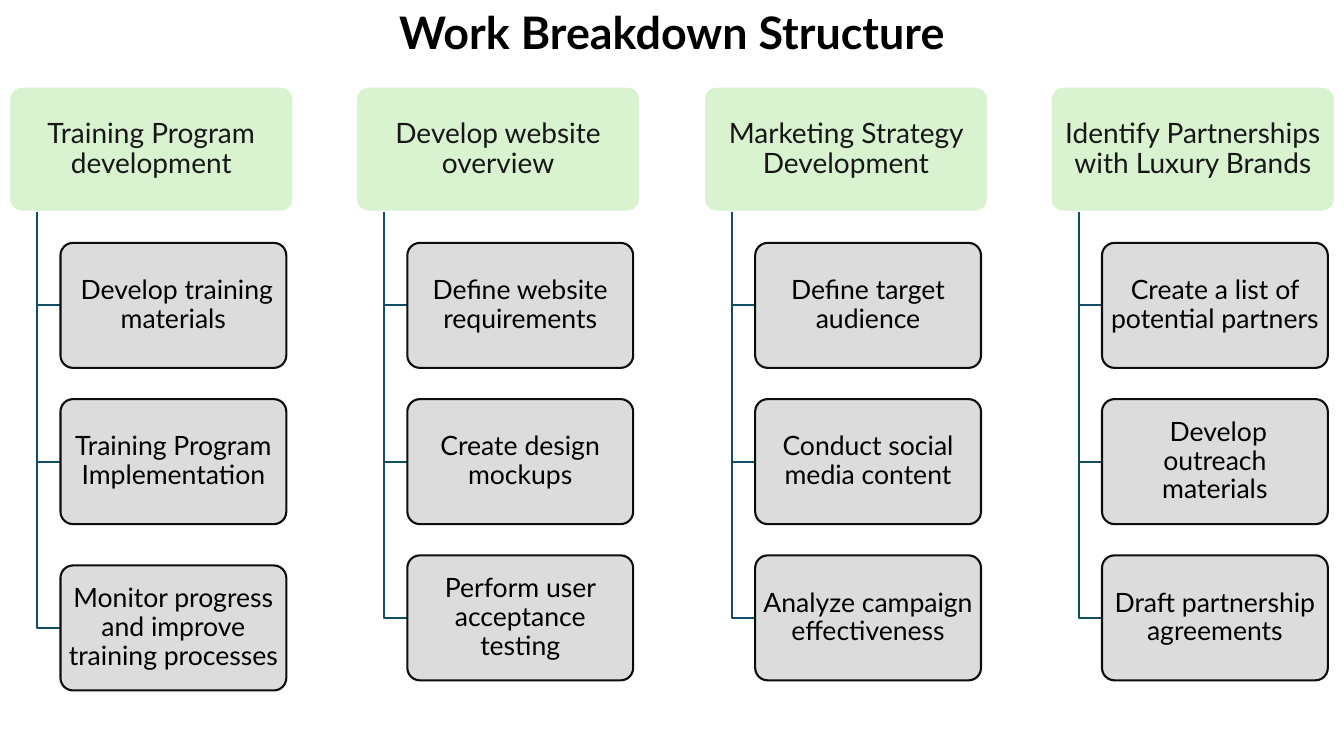
import pptx
import pptx.util
import pptx.dml.color
import pptx.enum.shapes
import pptx.enum.text
import lxml.etree

PX = 9144
HEADER_TOP, HEADER_WIDTH, BOX_HEIGHT = 86, 282, 124
TASK_TOP, TASK_WIDTH, TASK_STEP = 241, 224, 155
TASK_INDENT, TRUNK_INDENT = 51, 28
COLUMN_LEFT, COLUMN_STEP = 9, 344.4

workstreams = [
    ("Training Program development",
     [" Develop training materials", "Training Program Implementation",
      "Monitor progress and improve training processes"]),
    ("Develop website overview",
     ["Define website requirements", "Create design mockups",
      "Perform user acceptance testing"]),
    ("Marketing Strategy Development",
     ["Define target audience", "Conduct social media content",
      "Analyze campaign effectiveness"]),
    ("Identify Partnerships with Luxury Brands",
     ["Create a list of potential partners", " Develop outreach materials",
      "Draft partnership agreements"]),
]


def color(value):
    return pptx.dml.color.RGBColor.from_string(value)


def add_box(left, top, width, text, size, fill, line, font_color):
    shape = slide.shapes.add_shape(
        pptx.enum.shapes.MSO_SHAPE.ROUNDED_RECTANGLE,
        left * PX, top * PX, width * PX, BOX_HEIGHT * PX)
    shape.shadow.inherit = False
    shape.adjustments[0] = 0.1
    shape.fill.solid()
    shape.fill.fore_color.rgb = color(fill)
    shape.line.color.rgb = color(line)
    shape.line.width = pptx.util.Pt(1.5)
    frame = shape.text_frame
    frame.word_wrap = True
    frame.vertical_anchor = pptx.enum.text.MSO_ANCHOR.MIDDLE
    frame.margin_left = frame.margin_right = 4 * PX
    frame.margin_top = frame.margin_bottom = 3 * PX
    frame.text = text
    paragraph = frame.paragraphs[0]
    paragraph.alignment = pptx.enum.text.PP_ALIGN.CENTER
    paragraph.line_spacing = 0.9
    font = paragraph.runs[0].font
    font.name = "Lato"
    font.size = pptx.util.Pt(size)
    font.color.rgb = color(font_color)
    return shape


presentation = pptx.Presentation()
presentation.slide_width = 1333 * PX
presentation.slide_height = 750 * PX
slide = presentation.slides.add_slide(presentation.slide_layouts[5])

title = slide.shapes.title
title.left, title.top, title.width, title.height = 352 * PX, 0, 629 * PX, 64 * PX
title.text_frame.text = "Work Breakdown Structure"
title.text_frame.auto_size = pptx.enum.text.MSO_AUTO_SIZE.NONE
title.text_frame.vertical_anchor = pptx.enum.text.MSO_ANCHOR.TOP
title_paragraph = title.text_frame.paragraphs[0]
title_paragraph.alignment = pptx.enum.text.PP_ALIGN.CENTER
title_font = title_paragraph.runs[0].font
title_font.name = "Lato"
title_font.size = pptx.util.Pt(32)
title_font.bold = True
title_font.color.rgb = color("000000")

for column, (heading, tasks) in enumerate(workstreams):
    left = COLUMN_LEFT + round(column * COLUMN_STEP)
    add_box(left, HEADER_TOP, HEADER_WIDTH, heading, 20, "D9F2D0", "FFFFFF", "171717")
    trunk = left + TRUNK_INDENT
    task_left = left + TASK_INDENT
    for row, task in enumerate(tasks):
        top = TASK_TOP + row * TASK_STEP
        if (column, row) == (0, 2):
            top += 10
        middle = top + BOX_HEIGHT // 2
        builder = slide.shapes.build_freeform(trunk, HEADER_TOP + BOX_HEIGHT, scale=PX)
        builder.add_line_segments([(trunk, middle), (task_left, middle)], close=False)
        branch = builder.convert_to_shape()
        branch.shadow.inherit = False
        branch.fill.background()
        branch.line.color.rgb = color("114D68")
        branch.line.width = pptx.util.Pt(1.5)
        box = add_box(task_left, top, TASK_WIDTH, task, 19, "D9D9D9", "0D0D0D", "000000")
        fill_color = box.fill._xPr.find(".//" + pptx.oxml.ns.qn("a:srgbClr"))
        lxml.etree.SubElement(fill_color, pptx.oxml.ns.qn("a:alpha"), val="90000")

presentation.save("out.pptx")
